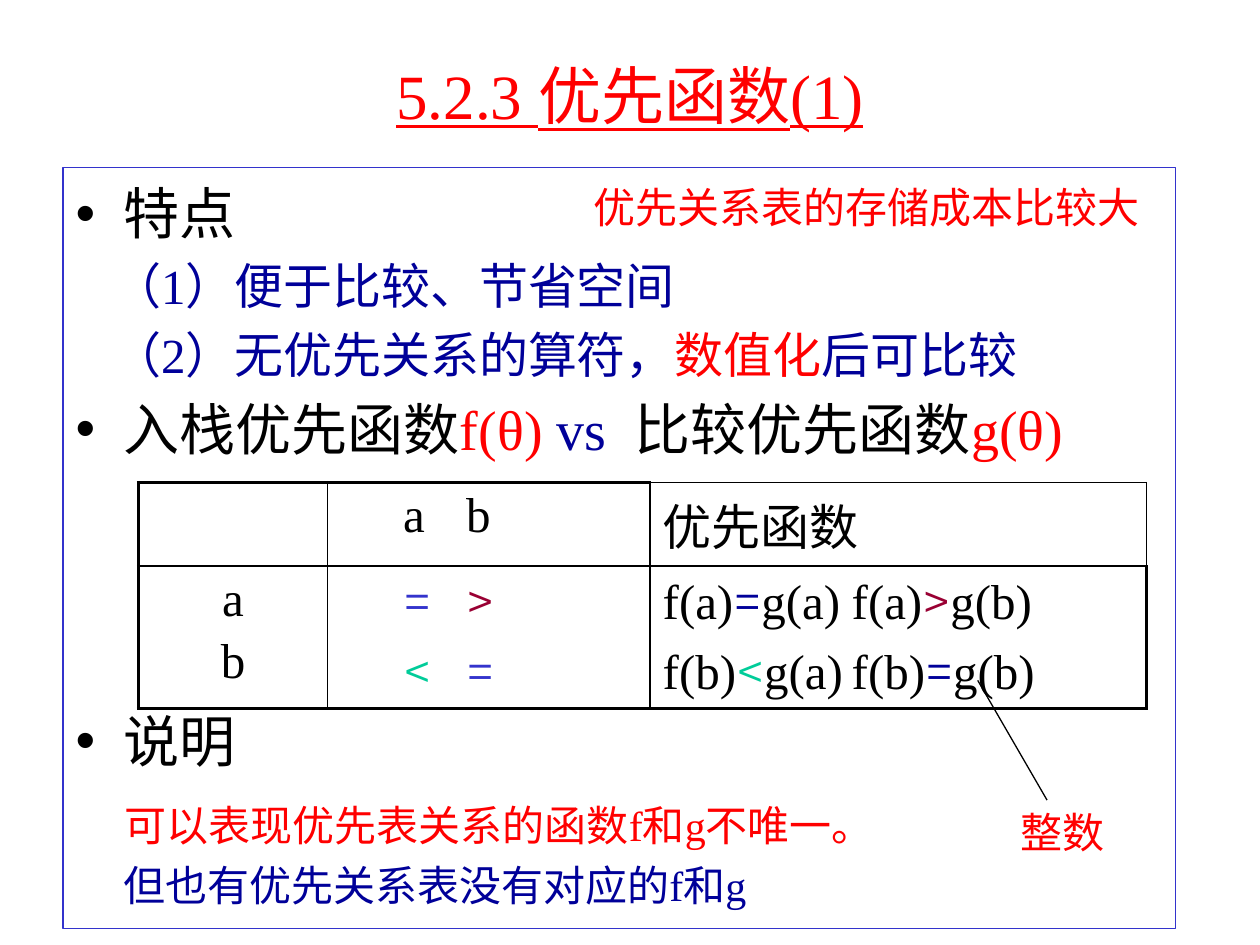
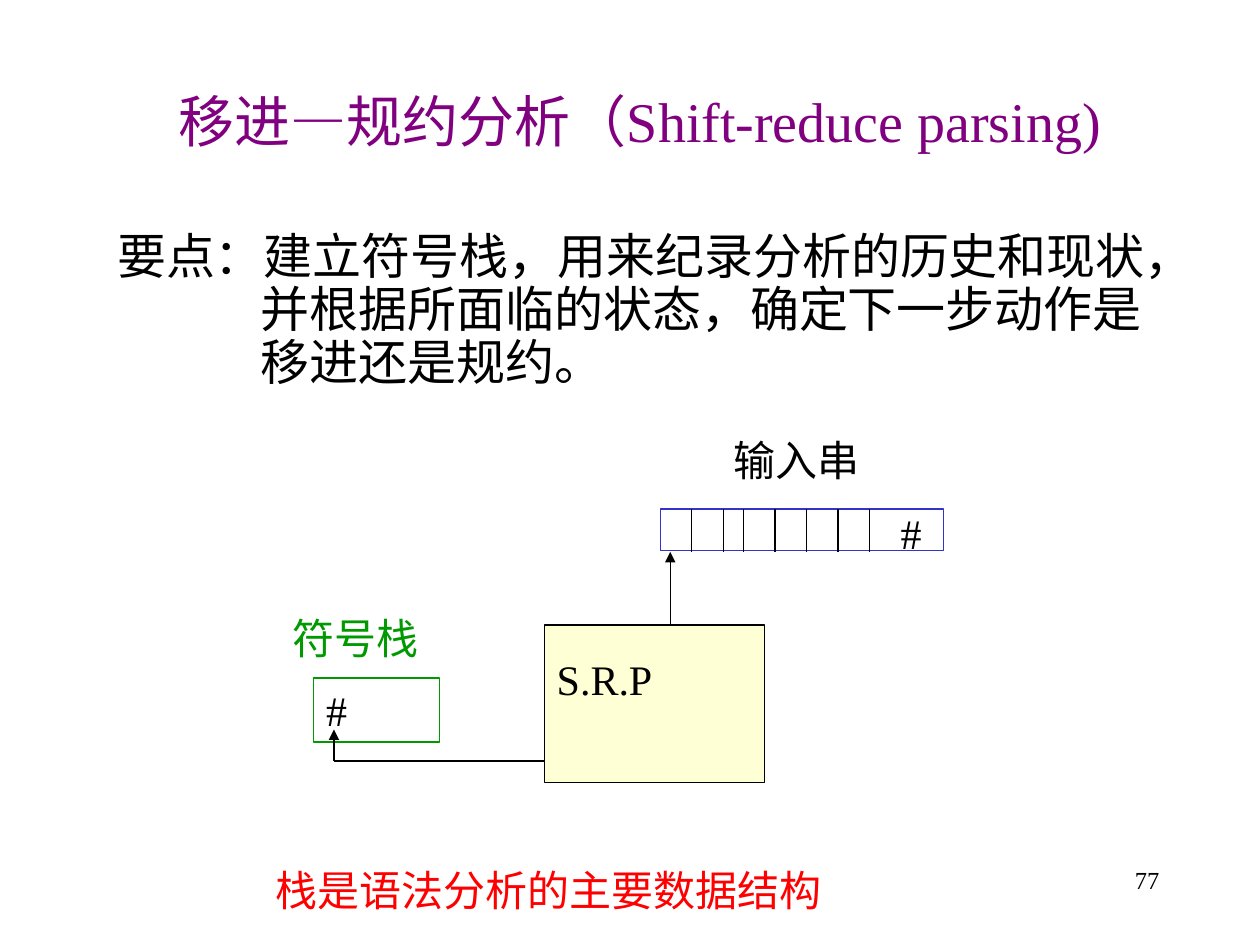
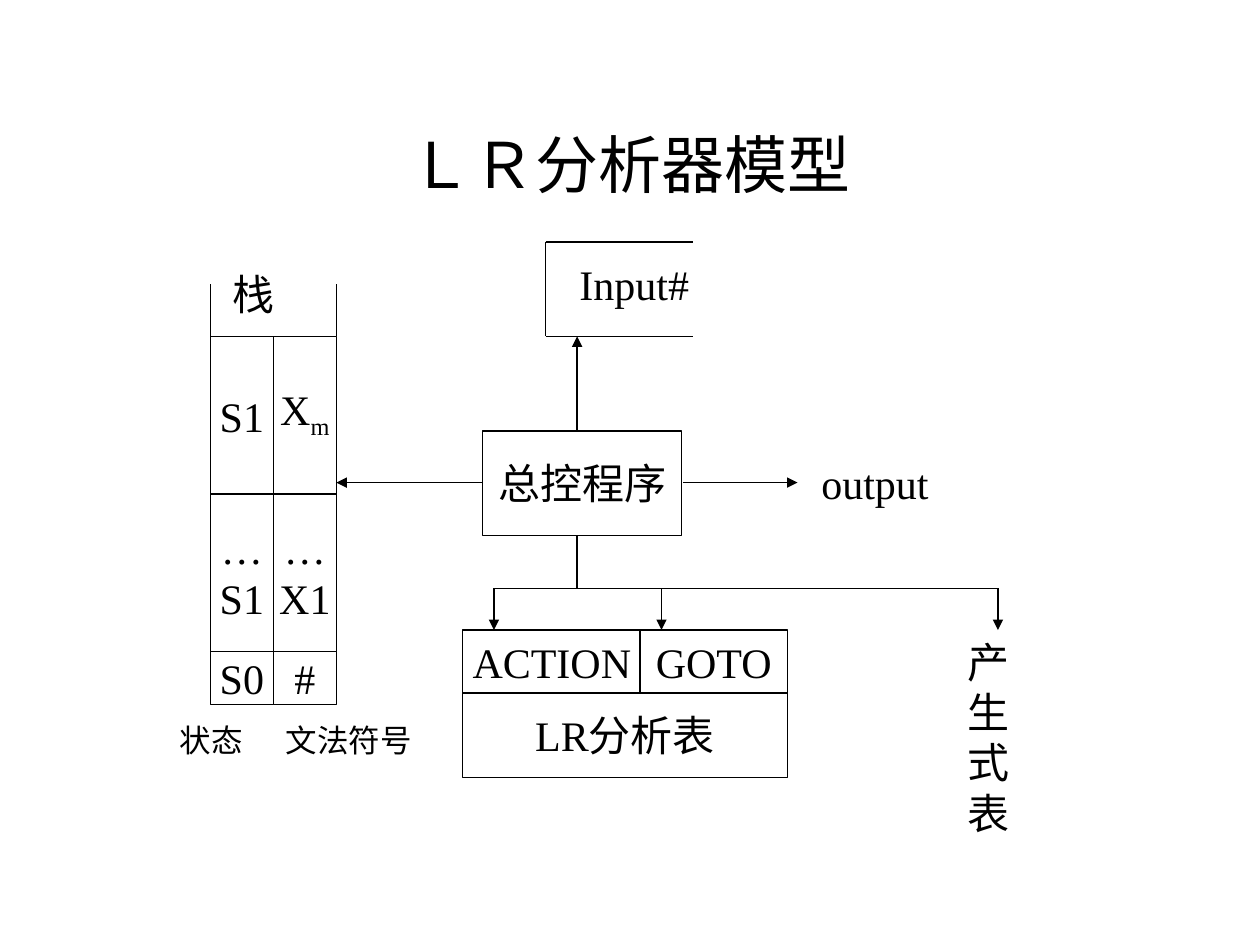
"""Builds three slides on priority functions, shift-reduce parsing and the LR parser model."""
from dataclasses import dataclass

from lxml import etree
from pptx import Presentation
from pptx.dml.color import RGBColor
from pptx.enum import shapes, text
from pptx.oxml import ns
from pptx.util import Inches, Pt

BLACK = RGBColor(0x00, 0x00, 0x00)
WHITE = RGBColor(0xFF, 0xFF, 0xFF)
RED = RGBColor(0xFF, 0x00, 0x00)
NAVY = RGBColor(0x00, 0x00, 0x99)
BLUE = RGBColor(0x33, 0x33, 0xCC)
PURPLE = RGBColor(0x80, 0x00, 0x80)
MAROON = RGBColor(0x99, 0x00, 0x33)
TEAL = RGBColor(0x00, 0xCC, 0x99)
GREEN = RGBColor(0x00, 0x99, 0x00)
CREAM = RGBColor(0xFF, 0xFF, 0xD5)

SERIF, SANS, CJK = "Times New Roman", "Montserrat", "Noto Sans CJK SC"
LEFT, CENTER, RIGHT = text.PP_ALIGN.LEFT, text.PP_ALIGN.CENTER, text.PP_ALIGN.RIGHT
TOP, MIDDLE = text.MSO_ANCHOR.TOP, text.MSO_ANCHOR.MIDDLE
THIN, THICK = 1, 2.25
LEADING = 1.2


@dataclass
class Run:
    text: str
    color: RGBColor = BLACK
    font: str = SERIF
    attributes: tuple = ()
    underline: bool = False


@dataclass
class Para:
    runs: list
    size: float = 24
    before: float = 0
    left: float = 0
    hang: float = 0
    bullet: str = ""
    tabs: tuple = ()
    align: int = LEFT
    leading: float = LEADING


FEATURES = [
    Para([Run("特点")], 32, 0, 0.38, 0.38, "•"),
    Para([Run("（1）便于比较、节省空间", NAVY)], 28, 5.6, 0.29),
    Para([Run("（2）无优先关系的算符，", NAVY), Run("数值化", RED), Run("后可比较", NAVY)],
         28, 5.6, 0.29),
    Para([Run("入栈优先函数"), Run("f(θ) ", RED), Run("vs", NAVY),
          Run(" ", NAVY, attributes=(("spc", "800"),)),
          Run("比较优先函数"), Run("g(θ)", RED)], 32, 6.4, 0.38, 0.38, "•"),
    Para([Run("说明")], 32, 140, 0.38, 0.38, "•"),
    Para([Run("可以表现优先表关系的函数f和g不唯一。", RED)], 24, 14.8, 0.39),
    Para([Run("但也有优先关系表没有对应的f和g", NAVY)], 24, 5.3, 0.38),
]


def table_line(*runs, before=0, tabs=(), align=LEFT):
    return Para(list(runs), 28, before, tabs=tabs, align=align, leading=0)


def relation(sign, color):
    return Run(sign, color, SANS)


RELATIONS = [
    [[], [table_line(Run("\ta\tb"), tabs=(0.29, 1.64))], [table_line(Run("优先函数"))]],
    [[table_line(Run("a"), align=CENTER), table_line(Run("b"), before=5, align=CENTER)],
     [table_line(relation("\t=", BLUE), relation("\t>", MAROON), tabs=(0.29, 1.42)),
      table_line(relation("\t<", TEAL), relation("\t=", BLUE), before=5.6, tabs=(0.29, 1.34))],
     [table_line(Run("f(a)"), relation("=", NAVY), Run("g(a)\tf(a)"),
                 relation(">", MAROON), Run("g(b)"), tabs=(1.7,)),
      table_line(Run("f(b)"), relation("<", TEAL), Run("g(a)\tf(b)"),
                 relation("=", NAVY), Run("g(b)"), before=5.6, tabs=(1.72,))]],
]
COLUMN_WIDTHS = [1.5, 2.56, 3.94]
ROW_HEIGHTS = [0.57, 1.13]
BORDERS = [  # left, right, top, bottom
    [(THICK, THIN, THICK, THIN), (THIN, THIN, THICK, THIN), (THIN, THIN, THIN, THIN)],
    [(THICK, THIN, THIN, THICK), (THIN, THIN, THIN, THICK), (THIN, THICK, THIN, THICK)],
]

KEY_POINT = ("要点：建立符号栈，用来纪录分析的历史和现状，"
             "并根据所面临的状态，确定下一步动作是移进还是规约。")
INPUT_DIVIDERS = [5.49, 5.74, 5.9, 6.15, 6.4, 6.65, 6.9]

STACK_COLUMNS = [
    [[Run("S1")], [Run("…"), Run("S1")], [Run("S0")]],
    [[Run("X"), Run("m", attributes=(("baseline", "-25000"),))],
     [Run("…"), Run("X1")], [Run("#")]],
]
STACK_ROWS = [(2.67, 1.25), (3.92, 1.25), (5.17, 0.42)]
STACK_LEFT, STACK_STEP = 1.67, 0.5
PARSE_TABLE = [("ACTION", (3.67, 5, 1.42, 0.5)), ("GOTO", (5.08, 5, 1.17, 0.5)),
               ("LR分析表", (3.67, 5.5, 2.58, 0.67))]
MODEL_LABELS = [("output", (6.42, 3.58, 1.17, 0.5), 24), ("Input#", (4.5, 2, 1.17, 0.5), 24),
                ("栈", (1.75, 2.08, 0.75, 0.5), 24), ("状态", (1.33, 5.67, 1, 0.4), 18),
                ("文法符号", (2.17, 5.67, 1.5, 0.4), 18), ("产生式表", (7.58, 5, 0.67, 1.7), 24)]
MODEL_LINES = [((4.33, 2.67), (5.5, 2.67)), ((4.33, 1.92), (5.5, 1.92)),
               ((4.33, 1.92), (4.33, 2.67)), ((1.67, 2.67), (1.67, 2.25)),
               ((2.67, 2.67), (2.67, 2.25)), ((4.58, 4.25), (4.58, 4.67)),
               ((3.92, 4.67), (7.92, 4.67))]
MODEL_ARROWS = [((5.42, 3.83), (6.33, 3.83)), ((4.58, 3.42), (4.58, 2.67)),
                ((3.83, 3.83), (2.67, 3.83))]
MODEL_ARROWS += [((x, 4.67), (x, 5)) for x in (3.92, 5.25, 7.92)]


def add_child(parent, tag, **attributes):
    return etree.SubElement(parent, ns.qn(tag), attributes)


def write(frame, paras):
    for index, para in enumerate(paras):
        paragraph = frame.paragraphs[0] if index == 0 else frame.add_paragraph()
        props = paragraph._p.get_or_add_pPr()
        props.set("marL", str(Inches(para.left)))
        props.set("indent", str(Inches(-para.hang)))
        if para.bullet:
            add_child(props, "a:buChar", char=para.bullet)
        else:
            add_child(props, "a:buNone")
        if para.tabs:
            stops = add_child(props, "a:tabLst")
            for stop in para.tabs:
                add_child(stops, "a:tab", pos=str(Inches(stop)), algn="l")
        paragraph.alignment = para.align
        paragraph.space_before = Pt(para.before)
        if para.leading:
            paragraph.line_spacing = Pt(round(para.size * para.leading, 1))
        for item in para.runs:
            run = paragraph.add_run()
            run.text = item.text
            run.font.size = Pt(para.size)
            run.font.name = item.font
            run.font.color.rgb = item.color
            if item.underline:
                run.font.underline = True
            add_child(run._r.rPr, "a:ea", typeface=CJK)
            for key, value in item.attributes:
                run._r.rPr.set(key, value)


def place(shape, at):
    shape.left, shape.top, shape.width, shape.height = map(Inches, at)


def set_title(slide, at, size, runs):
    title = slide.shapes.title
    place(title, at)
    title.text_frame.auto_size = text.MSO_AUTO_SIZE.NONE
    title.text_frame.vertical_anchor = MIDDLE
    write(title.text_frame, [Para(runs, size, align=CENTER, leading=0)])


def set_body(slide, at, top_inset, paras):
    body = slide.placeholders[1]
    place(body, at)
    body.text_frame.auto_size = text.MSO_AUTO_SIZE.NONE
    body.text_frame.margin_top = Inches(top_inset)
    write(body.text_frame, paras)
    return body


def add_label(slide, at, words, color=BLACK, size=24, align=LEFT):
    label = slide.shapes.add_textbox(*map(Inches, at))
    label.text_frame.word_wrap = True
    write(label.text_frame, [Para([Run(words, color)], size, align=align)])


def add_box(slide, at, paras=(), fill=None, line=BLACK, anchor=MIDDLE, wrap=False):
    box = slide.shapes.add_shape(shapes.MSO_SHAPE.RECTANGLE, *map(Inches, at))
    box.shadow.inherit = False
    if fill is None:
        box.fill.background()
    else:
        box.fill.solid()
        box.fill.fore_color.rgb = fill
    box.line.color.rgb = line
    box.line.width = Pt(0.75)
    box.text_frame.word_wrap = wrap
    box.text_frame.vertical_anchor = anchor
    write(box.text_frame, paras)
    return box


def add_line(slide, start, end, arrow=False):
    line = slide.shapes.add_connector(shapes.MSO_CONNECTOR.STRAIGHT, *map(Inches, start + end))
    line.line.color.rgb = BLACK
    line.line.width = Pt(0.75)
    if arrow:
        add_child(line.line._get_or_add_ln(), "a:tailEnd", type="triangle")
    add_child(line._element.spPr, "a:effectLst")


def set_borders(cell, widths):
    props = cell._tc.get_or_add_tcPr()
    for position, (side, width) in enumerate(zip("LRTB", widths)):
        border = etree.Element(ns.qn(f"a:ln{side}"), w=str(Pt(width)))
        color = add_child(add_child(border, "a:solidFill"), "a:srgbClr")
        color.set("val", str(BLACK))
        props.insert(position, border)


def add_relations(slide):
    frame = slide.shapes.add_table(2, 3, *map(Inches, (1.1, 3.83, 8, 1.7)))
    table = frame.table
    table.first_row = table.horz_banding = False
    for column, width in zip(table.columns, COLUMN_WIDTHS):
        column.width = Inches(width)
    for row, height in zip(table.rows, ROW_HEIGHTS):
        row.height = Inches(height)
    for r, row in enumerate(RELATIONS):
        for c, paras in enumerate(row):
            cell = table.cell(r, c)
            cell.fill.background()
            set_borders(cell, BORDERS[r][c])
            write(cell.text_frame, paras)


def build_priority(slide):
    set_title(slide, (0.75, 0.25, 8.5, 1), 36, [Run("5.2.3 优先函数(1)", RED, underline=True)])
    body = set_body(slide, (0.5, 1.33, 8.83, 6.04), 0.09, FEATURES)
    body.line.color.rgb = BLUE
    body.line.width = Pt(0.75)
    add_relations(slide)
    add_label(slide, (4.61, 1.39, 4.58, 0.51), "优先关系表的存储成本比较大", RED)
    add_line(slide, (7.76, 5.4), (8.31, 6.35))
    add_label(slide, (8, 6.35, 0.88, 0.51), "整数", RED)


def build_shift_reduce(slide):
    set_title(slide, (0.33, 0.33, 9.5, 1.25), 32,
              [Run("移进—规约分析（Shift-reduce parsing)", PURPLE)])
    set_body(slide, (0.83, 1.75, 8.5, 1.5), 0.09,
             [Para([Run(KEY_POINT)], 28, left=1.14, hang=1.14, leading=LEADING * 0.9)])
    add_label(slide, (7.22, 6.82, 2.08, 0.5), "77", size=14, align=RIGHT)
    add_box(slide, (2.49, 5.38, 1, 0.51), [Para([Run("#")])], line=GREEN, anchor=TOP, wrap=True)
    parser = add_box(slide, (4.32, 4.96, 1.75, 1.25), [Para([Run("S.R.P")])], CREAM, wrap=True)
    parser.text_frame.margin_bottom = Inches(0.45)
    add_box(slide, (5.24, 4.04, 2.25, 0.33), line=BLUE)
    for x in INPUT_DIVIDERS:
        add_line(slide, (x, 4.04), (x, 4.38))
    add_label(slide, (7.05, 3.98, 0.37, 0.5), "#")
    add_line(slide, (4.32, 6.04), (2.65, 6.04))
    add_line(slide, (2.65, 6.04), (2.65, 5.79), arrow=True)
    add_line(slide, (5.32, 4.96), (5.32, 4.38), arrow=True)
    add_label(slide, (2.22, 4.81, 1.21, 0.5), "符号栈", GREEN)
    add_label(slide, (5.72, 3.4, 1.21, 0.5), "输入串")
    add_label(slide, (2.09, 6.81, 4.58, 0.51), "栈是语法分析的主要数据结构", RED)


def build_lr_model(slide):
    set_title(slide, (0.75, 0.67, 8.5, 1.25), 36, [Run("ＬＲ分析", font=CJK), Run("器模型")])
    for column, cells in enumerate(STACK_COLUMNS):
        for runs, (top, height) in zip(cells, STACK_ROWS):
            lines = [[run] for run in runs] if runs[0].text == "…" else [runs]
            add_box(slide, (STACK_LEFT + column * STACK_STEP, top, STACK_STEP, height),
                    [Para(line, align=CENTER) for line in lines], WHITE)
    for words, at in [("总控程序", (3.83, 3.42, 1.58, 0.83))] + PARSE_TABLE:
        add_box(slide, at, [Para([Run(words)], align=CENTER)], WHITE)
    for start, end in MODEL_LINES:
        add_line(slide, start, end)
    for start, end in MODEL_ARROWS:
        add_line(slide, start, end, arrow=True)
    for words, at, size in MODEL_LABELS:
        add_label(slide, at, words, size=size)


def main():
    deck = Presentation()
    deck.slide_width, deck.slide_height = Inches(10), Inches(7.5)
    title_and_body, title_only = deck.slide_layouts[1], deck.slide_layouts[5]
    for build, layout in [(build_priority, title_and_body),
                          (build_shift_reduce, title_and_body),
                          (build_lr_model, title_only)]:
        build(deck.slides.add_slide(layout))
    deck.save("out.pptx")


if __name__ == "__main__":
    main()
